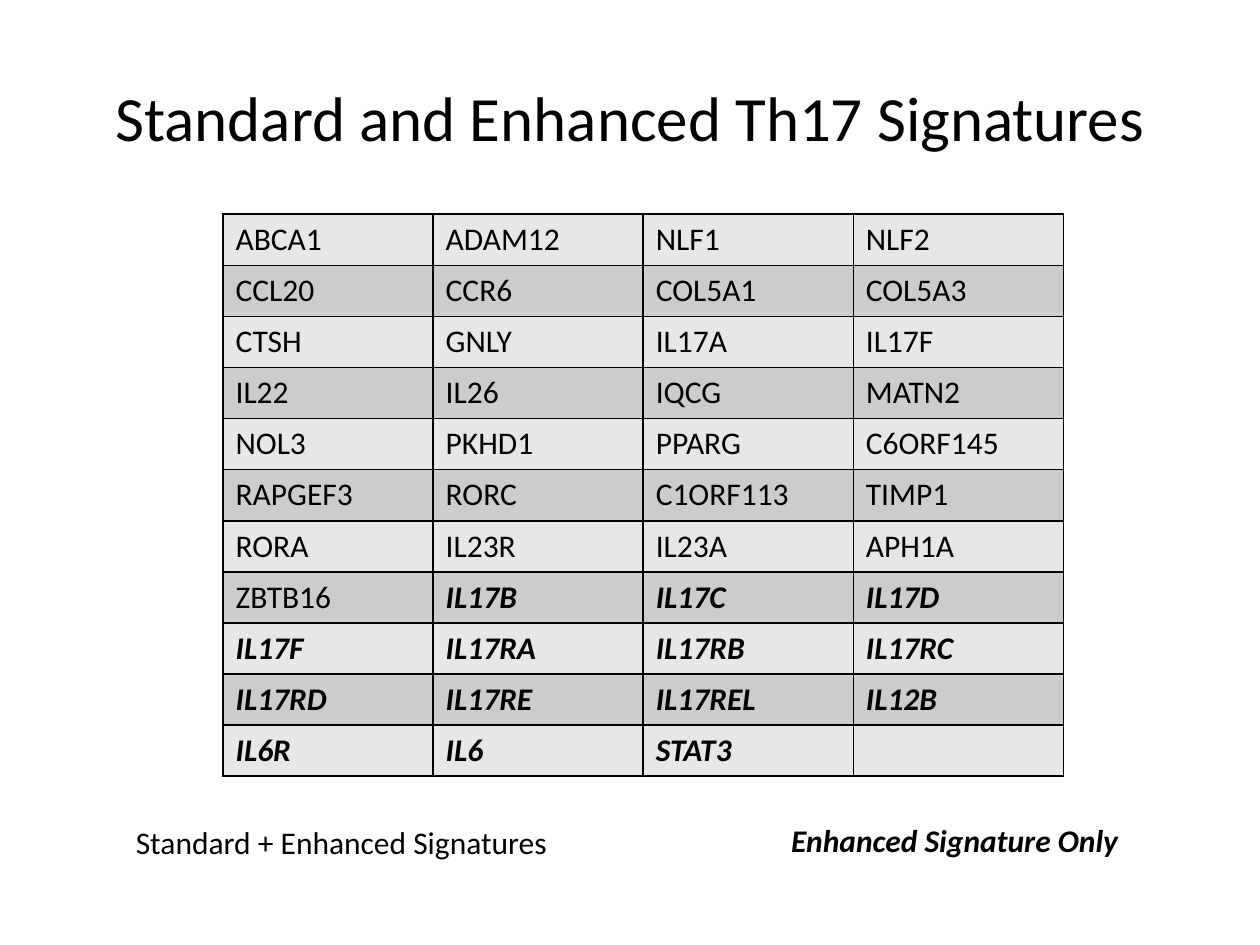
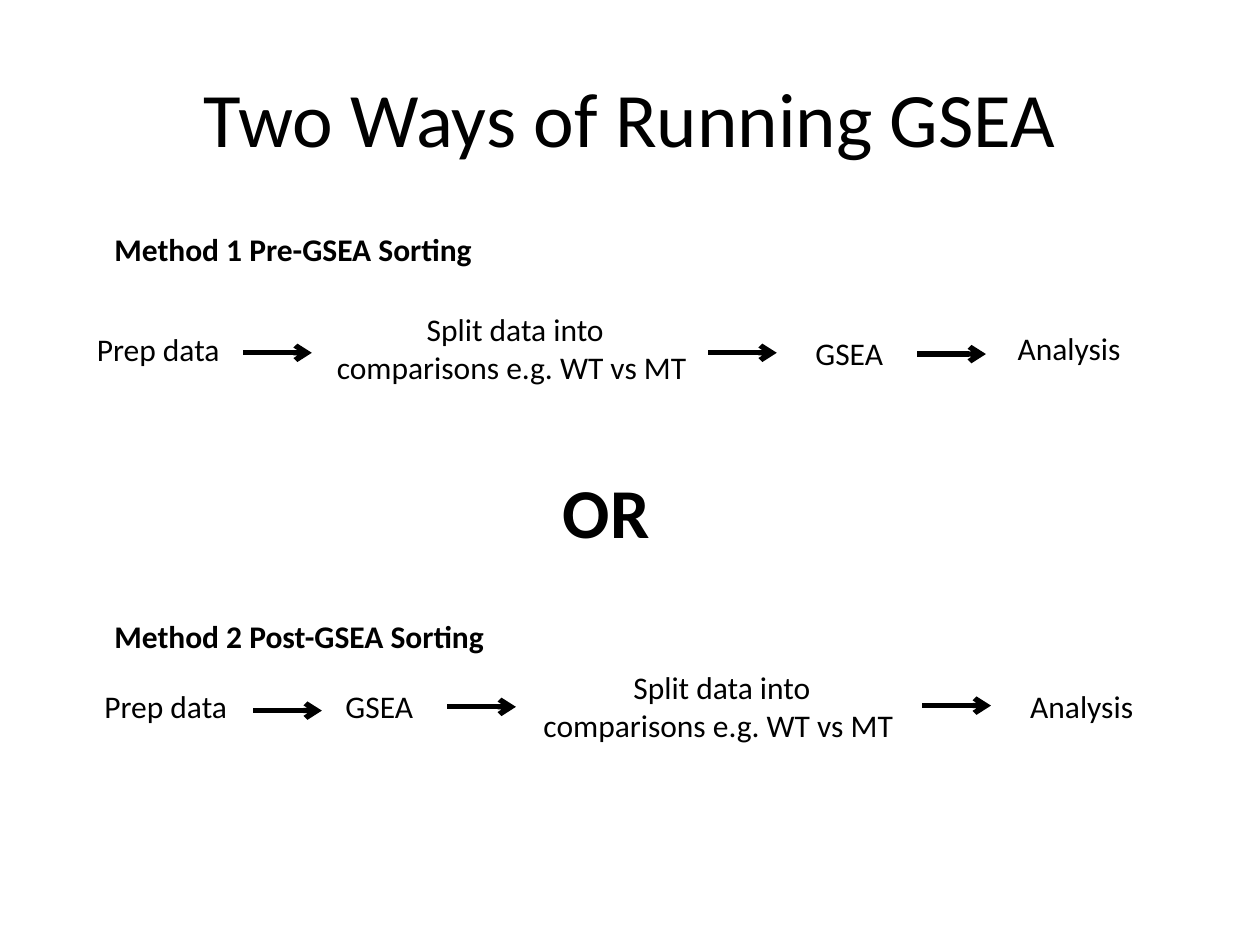
from dataclasses import dataclass

from lxml.etree import SubElement as Sub
from pptx import Presentation
from pptx.dml.color import RGBColor
from pptx.enum.shapes import MSO_CONNECTOR as Line
from pptx.enum.text import MSO_ANCHOR as Anchor
from pptx.enum.text import MSO_AUTO_SIZE as Fit
from pptx.enum.text import PP_ALIGN as Align
from pptx.oxml.ns import qn
from pptx.slide import Slide
from pptx.util import Inches, Pt

WIDE, HIGH = Inches(10), Inches(7.5)
COLS, ROWS = 100, 75
FONT = "Calibri"
INK, PAPER = "000000", "FFFFFF"
BANDS = ("E7E7E7", "CCCCCC")
BODY = 18
PREP, GSEA, DONE = "Prep data", "GSEA", "Analysis"
SPLIT = "Split data into\ncomparisons e.g. WT vs MT "
SIZES = {PREP: (11.9, 4), GSEA: (7.4, 4), DONE: (10.3, 4), SPLIT: (30.6, 7.1)}
REACH = 5.45
GENES = """
ABCA1 ADAM12 NLF1 NLF2
CCL20 CCR6 COL5A1 COL5A3
CTSH GNLY IL17A IL17F
IL22 IL26 IQCG MATN2
NOL3 PKHD1 PPARG C6ORF145
RAPGEF3 RORC C1ORF113 TIMP1
RORA IL23R IL23A APH1A
ZBTB16 IL17B IL17C IL17D
IL17F IL17RA IL17RB IL17RC
IL17RD IL17RE IL17REL IL12B
IL6R IL6 STAT3
""".split()
SHARED = GENES.index("IL17B")
ACROSS = 4


@dataclass
class Label:
    text: str
    x: float
    y: float
    w: float
    h: float
    size: float = BODY
    bold: bool = False
    slant: bool = False
    mid: bool = False


@dataclass
class Step:
    text: str
    x: float
    y: float


@dataclass
class Arrow:
    x: float
    y: float


@dataclass
class Method:
    head: Label
    steps: list[Step]
    arrows: list[Arrow]


METHODS = [
    Method(
        Label("Method 1 Pre-GSEA Sorting", 8.1, 17.8, 30.7, 4, bold=True),
        [Step(PREP, 6.7, 25.7), Step(SPLIT, 25.6, 24.1),
         Step(GSEA, 63.7, 26), Step(DONE, 79.7, 25.6)],
        [Arrow(19.3, 28), Arrow(56.2, 28), Arrow(72.8, 28.1)],
    ),
    Method(
        Label("Method 2 Post-GSEA Sorting", 8.1, 48.5, 31.7, 4, bold=True),
        [Step(PREP, 7.3, 54), Step(GSEA, 26.4, 54),
         Step(SPLIT, 42, 52.5), Step(DONE, 80.7, 54)],
        [Arrow(20.1, 56.4), Arrow(35.5, 56.1), Arrow(73.2, 56)],
    ),
]


def hue(code: str) -> RGBColor:
    return RGBColor.from_string(code)


def col(n: float) -> int:
    return round(WIDE * n / COLS)


def row(n: float) -> int:
    return round(HIGH * n / ROWS)


def style(part, size: float, bold: bool = False, slant: bool = False) -> None:
    font = part.font
    font.name, font.size = FONT, Pt(size)
    font.bold, font.italic = bold, slant
    font.color.rgb = hue(INK)


def write(slide: Slide, tag: Label, wrap: bool = False):
    box = slide.shapes.add_textbox(col(tag.x), row(tag.y), col(tag.w), row(tag.h))
    frame = box.text_frame
    frame.word_wrap = wrap
    frame.auto_size = Fit.NONE if wrap else Fit.SHAPE_TO_FIT_TEXT
    frame.text = tag.text
    for par in frame.paragraphs:
        par.alignment = Align.CENTER if tag.mid else Align.LEFT
        style(par, tag.size, tag.bold, tag.slant)
    return frame


def start(deck, title: str, size: float) -> Slide:
    slide = deck.slides.add_slide(deck.slide_layouts[6])
    back = slide.background.fill
    back.solid()
    back.fore_color.rgb = hue(PAPER)
    frame = write(slide, Label(title, 5, 3, 90, 12.5, size, mid=True), wrap=True)
    frame.vertical_anchor = Anchor.MIDDLE
    return slide


def border(cell) -> None:
    props = cell._tc.get_or_add_tcPr()
    for side in ("lnL", "lnR", "lnT", "lnB"):
        edge = Sub(props, qn(f"a:{side}"), w=str(Pt(1)))
        Sub(Sub(edge, qn("a:solidFill")), qn("a:srgbClr"), val=INK)


def grid(slide: Slide) -> None:
    count = -(-len(GENES) // ACROSS)
    shape = slide.shapes.add_table(
        count, ACROSS, col(17.7), row(17), col(66.7), row(44.6))
    table = shape.table
    table.first_row = table.horz_banding = False
    for n, cell in enumerate(table.iter_cells()):
        border(cell)
        cell.fill.solid()
        cell.fill.fore_color.rgb = hue(BANDS[n // ACROSS % 2])
        if n < len(GENES):
            cell.text = GENES[n]
        extra = n >= SHARED
        style(cell.text_frame.paragraphs[0], BODY, extra, extra)


def point(slide: Slide, mark: Arrow) -> None:
    y = row(mark.y)
    line = slide.shapes.add_connector(
        Line.STRAIGHT, col(mark.x), y, col(mark.x + REACH), y)
    line.line.width = Pt(3)
    line.line.color.rgb = hue(INK)
    Sub(line.line._get_or_add_ln(), qn("a:tailEnd"), type="arrow")
    Sub(line._element.spPr, qn("a:effectLst"))


def genes(deck) -> None:
    slide = start(deck, "Standard and Enhanced Th17 Signatures", 36)
    grid(slide)
    write(slide, Label("Enhanced Signature Only", 61.8, 64.7, 28.3, 4,
                       bold=True, slant=True))
    write(slide, Label("Standard + Enhanced Signatures", 9.8, 64.8, 35, 4))


def ways(deck) -> None:
    slide = start(deck, "Two Ways of Running GSEA", 44)
    for way in METHODS:
        write(slide, way.head)
        for step in way.steps:
            write(slide, Label(step.text, step.x, step.y, *SIZES[step.text],
                               mid=step.text != PREP))
        for mark in way.arrows:
            point(slide, mark)
    write(slide, Label("OR", 43.7, 36.7, 9, 7.7, 40, bold=True))


def main() -> None:
    deck = Presentation()
    deck.slide_width, deck.slide_height = WIDE, HIGH
    genes(deck)
    ways(deck)
    deck.save("out.pptx")


if __name__ == "__main__":
    main()
